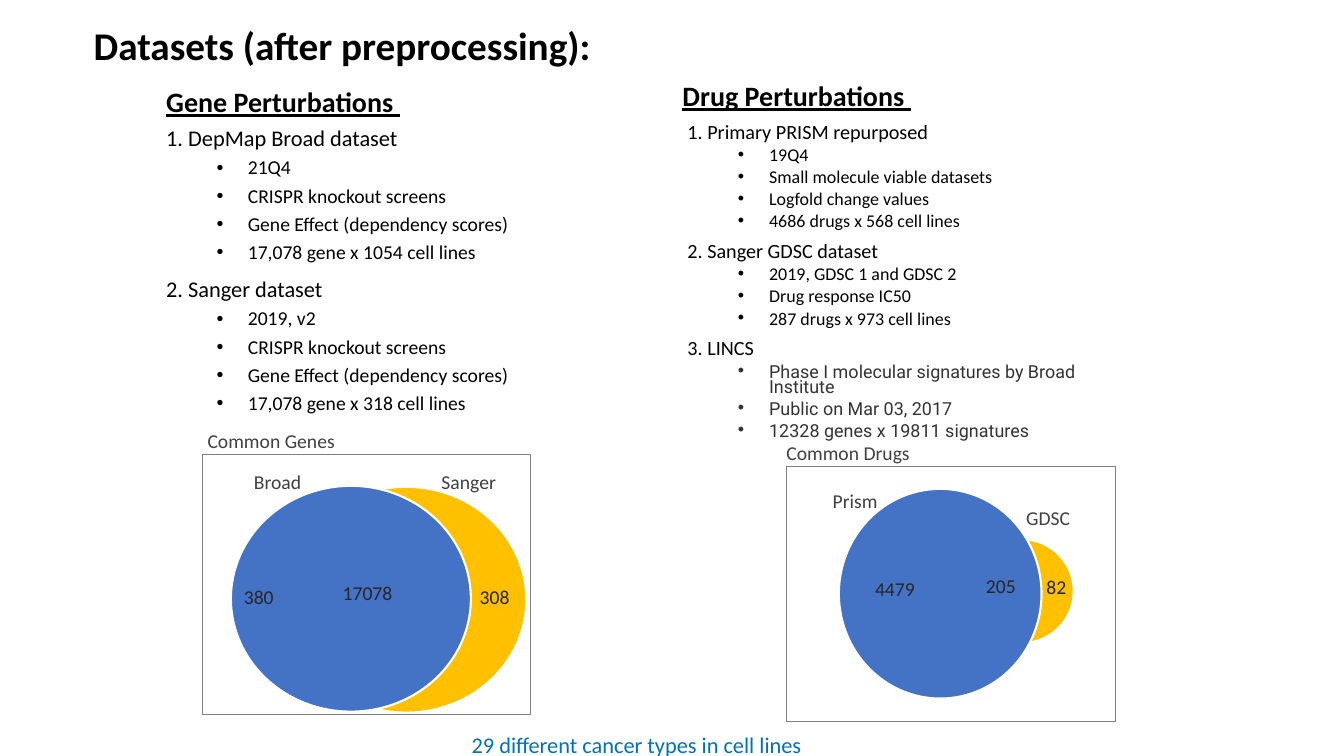
from lxml import etree
from pptx import Presentation
from pptx.dml.color import RGBColor
from pptx.enum.shapes import MSO_SHAPE
from pptx.enum.text import MSO_ANCHOR
from pptx.oxml.ns import qn
from pptx.util import Inches, Pt

RECTANGLE = MSO_SHAPE.RECTANGLE
OVAL = MSO_SHAPE.OVAL
TOP = MSO_ANCHOR.TOP
BOTTOM = MSO_ANCHOR.BOTTOM

BLACK, LABEL_GRAY, COUNT_GRAY = "000000", "404040", "262626"
ROBOTO_GRAY, FRAME_GRAY, WHITE = "333333", "808080", "FFFFFF"
BLUE, GOLD, NOTE_BLUE = "4472C4", "FFC000", "0070C0"

GENE_DATASETS = [
    ("1. DepMap Broad dataset",
     ["21Q4", "CRISPR knockout screens", "Gene Effect (dependency scores)",
      "17,078 gene x 1054 cell lines"]),
    ("2. Sanger dataset",
     ["2019, v2", "CRISPR knockout screens", "Gene Effect (dependency scores)",
      "17,078 gene x 318 cell lines"]),
]
DRUG_DATASETS = [
    ("1. Primary PRISM repurposed",
     ["19Q4", "Small molecule viable datasets", "Logfold change values",
      "4686 drugs x 568 cell lines"]),
    ("2. Sanger GDSC dataset",
     ["2019, GDSC 1 and GDSC 2", "Drug response IC50", "287 drugs x 973 cell lines"]),
    ("3. LINCS",
     ["Phase I molecular signatures by Broad Institute", "Public on Mar 03, 2017",
      "12328 genes x 19811 signatures"]),
]


def color(value):
    return RGBColor.from_string(value)


class DatasetSlide:
    font_name = "Calibri"
    label_size = 14

    def __init__(self, presentation):
        self.slide = presentation.slides.add_slide(presentation.slide_layouts[6])

    def box(self, left, top, width, height, anchor=TOP):
        shape = self.slide.shapes.add_textbox(
            Inches(left), Inches(top), Inches(width), Inches(height))
        shape.text_frame.word_wrap = True
        shape.text_frame.vertical_anchor = anchor
        return shape.text_frame

    def format(self, paragraph, size, fill, font_name=None, bold=False, underline=False):
        for run in paragraph.runs:
            run.font.name = font_name or self.font_name
            run.font.size = Pt(size)
            run.font.color.rgb = color(fill)
            run.font.bold = bold
            run.font.underline = underline

    def heading(self, text, left, top, width, height, size, underline=False):
        frame = self.box(left, top, width, height, BOTTOM)
        frame.text = text
        frame.paragraphs[0].line_spacing = 0.9
        self.format(frame.paragraphs[0], size, BLACK, bold=True, underline=underline)

    def label(self, text, left, top, width, fill=LABEL_GRAY, size=None):
        frame = self.box(left, top, width, 0.34)
        frame.text = text
        self.format(frame.paragraphs[0], size or self.label_size, fill)

    def bullet(self, paragraph):
        properties = paragraph._p.get_or_add_pPr()
        properties.set("lvl", "1")
        properties.set("marL", str(Inches(0.81)))
        properties.set("indent", str(Inches(-0.31)))
        etree.SubElement(properties, qn("a:buFont")).set("typeface", "Arial")
        etree.SubElement(properties, qn("a:buChar")).set("char", "•")

    def dataset_list(self, datasets, left, top, width, height,
                     title_size, item_size, spacing, roboto_title=None):
        frame = self.box(left, top, width, height)
        for index, (title, items) in enumerate(datasets):
            paragraph = frame.add_paragraph() if index else frame.paragraphs[0]
            paragraph.text = title
            paragraph.line_spacing = spacing
            paragraph.space_before = Pt(10 if index else 0)
            self.format(paragraph, title_size, BLACK)
            in_roboto = title == roboto_title
            for item in items:
                paragraph = frame.add_paragraph()
                paragraph.text = item
                paragraph.line_spacing = spacing
                paragraph.space_before = Pt(5)
                self.bullet(paragraph)
                self.format(paragraph, item_size, ROBOTO_GRAY if in_roboto else BLACK,
                            "Roboto" if in_roboto else None)

    def shape(self, kind, left, top, width, height, line, line_width, fill=None):
        shape = self.slide.shapes.add_shape(
            kind, Inches(left), Inches(top), Inches(width), Inches(height))
        shape.shadow.inherit = False
        shape.line.color.rgb = color(line)
        shape.line.width = Pt(line_width)
        if fill:
            shape.fill.solid()
            shape.fill.fore_color.rgb = color(fill)
        else:
            shape.fill.background()

    def venn(self, frame, gold_circle, blue_circle, names, counts):
        self.shape(RECTANGLE, *frame, FRAME_GRAY, 0.75)
        self.shape(OVAL, *gold_circle, WHITE, 1.5, GOLD)
        self.shape(OVAL, *blue_circle, WHITE, 1.5, BLUE)
        for name in names:
            self.label(*name)
        for count in counts:
            self.label(*count, fill=COUNT_GRAY)


def main():
    presentation = Presentation()
    presentation.slide_width = Inches(13.33)
    presentation.slide_height = Inches(7.5)
    page = DatasetSlide(presentation)

    # Headings
    page.heading("Datasets (after preprocessing):", 0.83, 0.16, 10.05, 0.57, 28)
    page.heading("Gene Perturbations ", 1.55, 0.69, 4.3, 0.54, 20, underline=True)
    page.heading("Drug Perturbations ", 6.67, 0.74, 4.3, 0.43, 20, underline=True)

    # Dataset lists
    page.dataset_list(GENE_DATASETS, 1.55, 1.21, 4.3, 2.97, 16, 14, 0.9)
    page.dataset_list(DRUG_DATASETS, 6.72, 1.2, 4.59, 3.09, 14.4, 12.8, 0.7,
                      roboto_title="3. LINCS")

    # Common genes
    page.label("Common Genes", 1.96, 4.21, 1.79)
    page.venn((2.01, 4.51, 3.25, 2.58), (2.84, 4.83, 2.38, 2.24), (2.29, 4.82, 2.38, 2.24),
              [("Broad", 2.42, 4.61, 0.83), ("Sanger", 4.28, 4.61, 0.99)],
              [("380", 2.32, 5.75, 0.92), ("17078", 3.3, 5.71, 0.92),
               ("308", 4.66, 5.75, 0.53)])

    # Common drugs
    page.label("Common Drugs", 7.7, 4.33, 1.79)
    page.venn((7.8, 4.63, 3.26, 2.53), (9.62, 5.35, 1.03, 1.03), (8.32, 4.85, 2.01, 2.08),
              [("Prism", 8.16, 4.8, 0.82), ("GDSC", 10.08, 4.97, 0.98)],
              [("4479", 8.58, 5.67, 0.78), ("205", 9.68, 5.64, 0.78),
               ("82", 10.28, 5.65, 1.11)])

    # Closing note
    page.label("29 different cancer types in cell lines", 4.58, 7.2, 3.74, NOTE_BLUE, 16)

    presentation.save("out.pptx")


if __name__ == "__main__":
    main()
